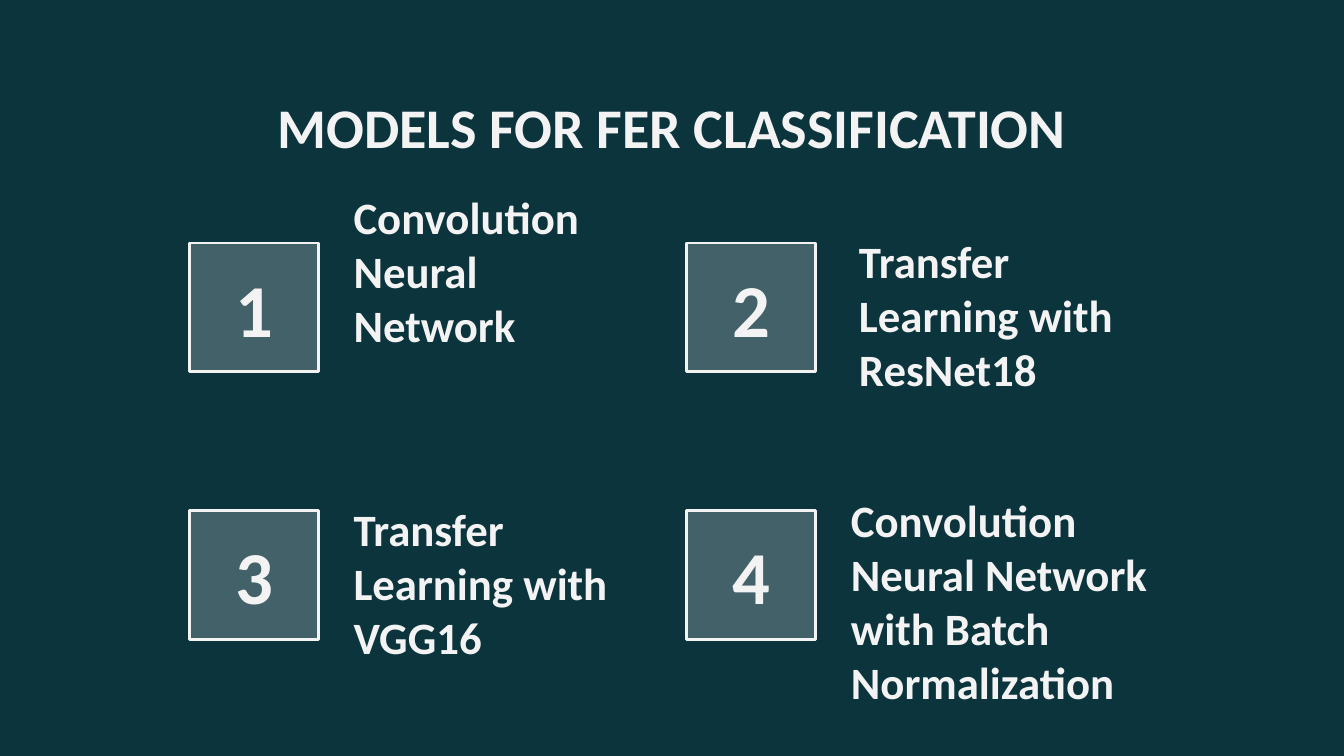
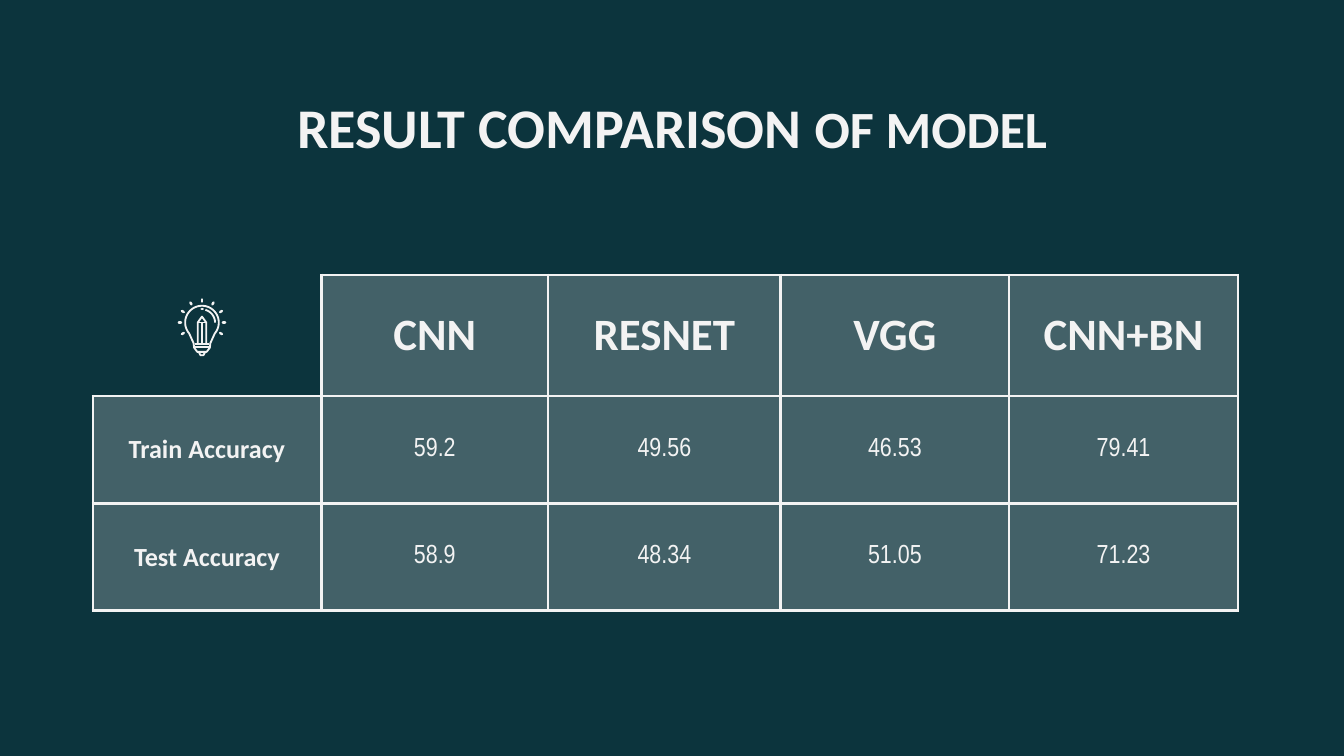
from math import cos, radians, sin

from lxml import etree
from pptx import Presentation
from pptx.dml.color import RGBColor
from pptx.enum.shapes import MSO_CONNECTOR, MSO_SHAPE
from pptx.enum.text import MSO_ANCHOR, PP_ALIGN
from pptx.oxml.ns import qn
from pptx.util import Pt

BOX, LINE = MSO_SHAPE.ROUNDED_RECTANGLE, MSO_CONNECTOR.STRAIGHT
TOP, MID, LOW = MSO_ANCHOR.TOP, MSO_ANCHOR.MIDDLE, MSO_ANCHOR.BOTTOM
LEFT, MIDST = PP_ALIGN.LEFT, PP_ALIGN.CENTER

HUES = {"back": "0C343D", "light": "F3F3F3"}
FONT, SLIM = "Calibri", "Arial Narrow"
ALPHA = 24
PAD = 7.2
EDGE = 1.5


def hue(name):
    return RGBColor.from_string(HUES[name])


def put(par, text, size=24, font=FONT, bold=True, align=LEFT):
    """Add one run of text to a paragraph."""
    par.alignment = align
    run = par.add_run()
    run.text = text
    run.font.name, run.font.size, run.font.bold = font, Pt(size), bold
    run.font.color.rgb = hue("light")


def pad(item):
    item.margin_left = item.margin_right = Pt(PAD)
    item.margin_top = item.margin_bottom = Pt(PAD)


def glaze(fill):
    """Fill with the light colour, mostly see-through."""
    fill.solid()
    fill.fore_color.rgb = hue("light")
    tone = fill._xPr.find(qn("a:solidFill"))[0]
    etree.SubElement(tone, qn("a:alpha"), val=str(ALPHA * 1000))


def border(cell, sides):
    """Draw the named sides of a cell and clear the others."""
    props = cell._tc.get_or_add_tcPr()
    for i, side in enumerate("LRTB"):
        line = etree.Element(qn(f"a:ln{side}"), w=str(Pt(EDGE)))
        if side in sides:
            paint = etree.SubElement(line, qn("a:solidFill"))
            etree.SubElement(paint, qn("a:srgbClr"), val=HUES["light"])
        else:
            etree.SubElement(line, qn("a:noFill"))
        props.insert(i, line)


class Deck:
    def __init__(self):
        self.show = Presentation()
        self.show.slide_width, self.show.slide_height = Pt(720), Pt(405)
        self.slide = None

    def page(self, *runs):
        """Start a slide; runs are (text, size) parts of its title."""
        self.slide = self.show.slides.add_slide(self.show.slide_layouts[5])
        back = self.slide.background.fill
        back.solid()
        back.fore_color.rgb = hue("back")
        title = self.slide.shapes.title
        title.left, title.top = Pt(56.5), Pt(42.5)
        title.width, title.height = Pt(607), Pt(45.5)
        self.frame(title, TOP)
        for text, size in runs:
            put(title.text_frame.paragraphs[0], text, size=size, align=MIDST)

    def frame(self, shape, anchor):
        frame = shape.text_frame
        frame.word_wrap, frame.vertical_anchor = True, anchor
        pad(frame)
        return frame

    def label(self, x, y, w, h, lines):
        box = self.slide.shapes.add_textbox(Pt(x), Pt(y), Pt(w), Pt(h))
        frame = self.frame(box, LOW)
        for i, text in enumerate(lines):
            put(frame.add_paragraph() if i else frame.paragraphs[0], text)

    def badge(self, x, y, side, text):
        box = self.slide.shapes.add_shape(BOX, Pt(x), Pt(y), Pt(side), Pt(side))
        box.adjustments[0] = 0
        box.shadow.inherit = False
        glaze(box.fill)
        self.ink(box, EDGE)
        par = self.frame(box, MID).paragraphs[0]
        put(par, text, size=40, align=MIDST)

    def ink(self, shape, width):
        shape.line.color.rgb = hue("light")
        shape.line.width = Pt(width)

    def stroke(self, start, end):
        """Short line with round ends."""
        ends = [Pt(v) for v in (*start, *end)]
        line = self.slide.shapes.add_connector(LINE, *ends)
        self.ink(line, 1.3)
        props = line._element.spPr
        props.find(qn("a:ln")).set("cap", "rnd")
        etree.SubElement(props, qn("a:effectLst"))

    def trace(self, *paths):
        """One outline made of several lists of points."""
        paths = [[(Pt(x), Pt(y)) for x, y in dots] for dots in paths]
        pen = self.slide.shapes.build_freeform(*paths[0][0])
        for i, dots in enumerate(paths):
            if i:
                pen.move_to(*dots[0])
            pen.add_line_segments(dots[1:], close=False)
        shape = pen.convert_to_shape()
        shape.shadow.inherit = False
        shape.fill.background()
        self.ink(shape, 1)

    def table(self, x, y, cols, rows, data):
        grid = self.slide.shapes.add_table(
            len(rows), len(cols), Pt(x), Pt(y), Pt(sum(cols)), Pt(sum(rows))).table
        grid.first_row = grid.horz_banding = False
        for col, width in zip(grid.columns, cols):
            col.width = Pt(width)
        for row, height in zip(grid.rows, rows):
            row.height = Pt(height)
        for r, line in enumerate(data):
            for c, text in enumerate(line):
                cell = grid.cell(r, c)
                cell.vertical_anchor = MID
                pad(cell)
                if not text:
                    cell.fill.background()
                    border(cell, "RB")
                    continue
                glaze(cell.fill)
                border(cell, "LRTB")
                head = r == 0 or c == 0
                put(cell.text_frame.paragraphs[0], text, align=MIDST, bold=head,
                    size=14 if r else 24, font=FONT if head else SLIM)

    def bulb(self, x, y):
        """Light bulb with a pencil inside, centred on its glass."""
        def arc(radius, start, end):
            return [(x + radius * cos(radians(a)), y + radius * sin(radians(a)))
                    for a in range(start, end + 1, 5)]

        def shift(*dots):
            return [(x + dx, y + dy) for dx, dy in dots]

        # Glass, collar, pencil and knob
        glass = arc(9, 140, 400) + shift(
            (4.5, 11), (4.2, 13.5), (2.5, 15.7), (-2.5, 15.7),
            (-4.2, 13.5), (-4.5, 11))
        self.trace(
            glass + glass[:1],
            shift((-2.3, 11.5), (-2.3, 0), (0, -3.2), (2.3, 0), (2.3, 11.5)),
            shift((-1.6, 16), (-0.8, 17.5), (0.8, 17.5), (1.6, 16)),
            shift((0, 0), (0, 11.5)),
            *(shift((-half, dy), (half, dy))
              for half, dy in ((2, 0), (4, 11.5), (4, 13.2))))
        # Shine
        self.trace(arc(7, -75, 0))
        self.stroke(*shift((-0.2, -7.2), (0.4, -7.2)))
        # Rays
        for turn in range(-210, 31, 30):
            self.stroke(*arc(11.2, turn, turn), *arc(12.4, turn, turn))


def models(deck):
    deck.page(("MODELS FOR FER CLASSIFICATION", 30))
    # Labels: left, top, width, height, lines
    labels = [
        (182.3, 131.8, 170, 63.5, ["Convolution Neural Network"]),
        (453.1, 132.5, 170, 86.5, ["Transfer Learning with ResNet18"]),
        (182.3, 275.6, 170, 87, ["Transfer Learning with VGG16"]),
        (448.8, 275.6, 196.5, 111, ["Convolution Neural Network",
                                    "with Batch Normalization"]),
    ]
    for i, label in enumerate(labels):
        deck.label(*label)
        row, col = divmod(i, 2)
        deck.badge(101.7 + 266.3 * col, 130.2 + 143.4 * row, 69, str(i + 1))


def results(deck):
    deck.page(("RESULT COMPARISON ", 30), ("OF MODEL", 28))
    deck.table(49.7, 147.2, [122.5, 121.5, 124.5, 122.5, 122.5], [65, 57.5, 57.5], [
        ["", "CNN", "RESNET", "VGG", "CNN+BN"],
        ["Train Accuracy", "59.2", "49.56", "46.53", "79.41"],
        ["Test Accuracy", "58.9", "48.34", "51.05", "71.23"],
    ])
    deck.bulb(108.2, 172.8)


def main():
    deck = Deck()
    models(deck)
    results(deck)
    deck.show.save("out.pptx")


if __name__ == "__main__":
    main()
